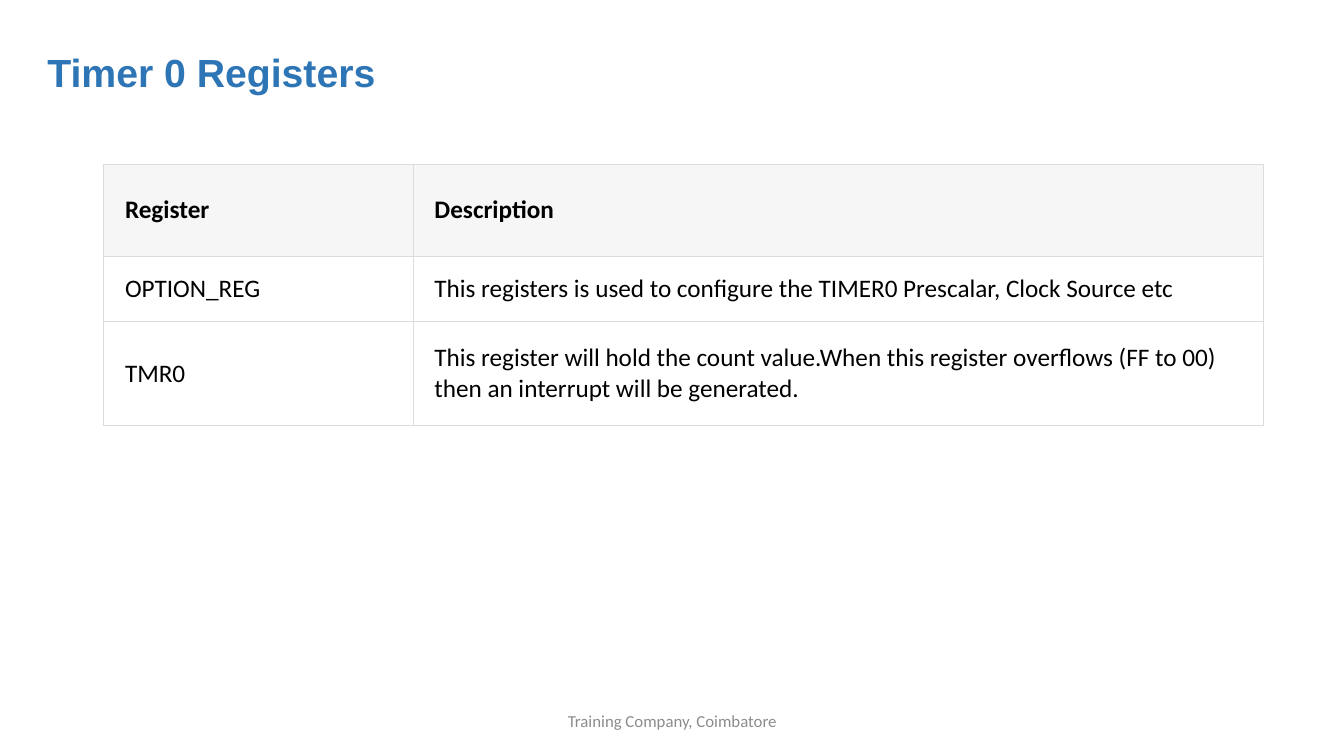
from dataclasses import dataclass

from lxml import etree
from pptx import Presentation, util as u
from pptx.dml.color import RGBColor
from pptx.enum import text
from pptx.oxml import ns

SLIDE_W, SLIDE_H = u.Inches(13.33), u.Inches(7.5)
GRID_COLS, GRID_ROWS = 40, 30


@dataclass(frozen=True)
class Style:
    font: str
    size: float
    color: str
    bold: bool = False


@dataclass(frozen=True)
class Theme:
    title: Style = Style("Arial", 28, "2E75B6", True)
    header: Style = Style("Calibri", 18, "000000", True)
    body: Style = Style("Calibri", 18, "000000")
    footer: Style = Style("Calibri", 12, "8C8C8C")
    header_fill: str = "F6F6F6"
    body_fill: str = "FFFFFF"
    border: str = "DCDCDC"
    border_width: float = 0.75


@dataclass(frozen=True)
class Area:
    """A rectangle in grid columns and rows."""
    left: float
    top: float
    width: float
    height: float

    def box(self) -> tuple[int, int, int, int]:
        return col(self.left), row(self.top), col(self.width), row(self.height)


@dataclass(frozen=True)
class Register:
    name: str
    description: str
    height: float


THEME = Theme()
TITLE_AREA = Area(1.11, 1.84, 21.78, 2.16)
FOOTER_AREA = Area(13.26, 27.8, 13.5, 1.6)
TABLE_LEFT, TABLE_TOP = 3.09, 6.52
TABLE_COLS = (9.21, 25.29)
CELL_PAD_X, HEADER_PAD_Y, BODY_PAD_Y = 0.63, 0.84, 0.4
HEADER = Register("Register", "Description", 3.64)
REGISTERS = [
    Register("OPTION_REG", "This registers is used to configure the TIMER0 "
             "Prescalar, Clock Source etc", 2.6),
    Register("TMR0", "This register will hold the count value.When this register "
             "overflows (FF to 00) then an interrupt will be generated.", 4.12),
]


def col(n: float) -> int:
    return round(SLIDE_W * n / GRID_COLS)


def row(n: float) -> int:
    return round(SLIDE_H * n / GRID_ROWS)


def write(tf, content: str, style: Style, align=text.PP_ALIGN.LEFT) -> None:
    tf.text = content
    tf.word_wrap = True
    p = tf.paragraphs[0]
    p.alignment = align
    font = p.runs[0].font
    font.name, font.size, font.bold = style.font, u.Pt(style.size), style.bold
    font.color.rgb = RGBColor.from_string(style.color)


def add_borders(cell) -> None:
    tc_pr = cell._tc.get_or_add_tcPr()
    for side in ("lnL", "lnR", "lnT", "lnB"):
        ln = etree.SubElement(tc_pr, ns.qn(f"a:{side}"), w=str(u.Pt(THEME.border_width)))
        fill = etree.SubElement(ln, ns.qn("a:solidFill"))
        etree.SubElement(fill, ns.qn("a:srgbClr"), val=THEME.border)


def fill_cell(cell, content: str, style: Style, fill: str, pad_y: float) -> None:
    write(cell.text_frame, content, style)
    cell.vertical_anchor = text.MSO_ANCHOR.MIDDLE
    cell.margin_left = cell.margin_right = col(CELL_PAD_X)
    cell.margin_top = cell.margin_bottom = row(pad_y)
    add_borders(cell)
    cell.fill.solid()
    cell.fill.fore_color.rgb = RGBColor.from_string(fill)


def add_title(s) -> None:
    sp = s.shapes.title
    sp.left, sp.top, sp.width, sp.height = TITLE_AREA.box()
    tf = sp.text_frame
    write(tf, "Timer 0 Registers", THEME.title)
    tf.auto_size = text.MSO_AUTO_SIZE.NONE
    tf.vertical_anchor = text.MSO_ANCHOR.BOTTOM
    tf.paragraphs[0].line_spacing = 0.9


def add_register_table(s) -> None:
    lines = [HEADER, *REGISTERS]
    area = Area(TABLE_LEFT, TABLE_TOP, sum(TABLE_COLS), sum(r.height for r in lines))
    table = s.shapes.add_table(len(lines), len(TABLE_COLS), *area.box()).table
    table.first_row = table.horz_banding = False
    for column, width in zip(table.columns, TABLE_COLS):
        column.width = col(width)
    for i, line in enumerate(lines):
        table.rows[i].height = row(line.height)
        look = ((THEME.header, THEME.header_fill, HEADER_PAD_Y) if line is HEADER
                else (THEME.body, THEME.body_fill, BODY_PAD_Y))
        for j, content in enumerate((line.name, line.description)):
            fill_cell(table.cell(i, j), content, *look)


def add_footer(s) -> None:
    tf = s.shapes.add_textbox(*FOOTER_AREA.box()).text_frame
    write(tf, "Training Company, Coimbatore", THEME.footer, text.PP_ALIGN.CENTER)
    tf.vertical_anchor = text.MSO_ANCHOR.MIDDLE


def main() -> None:
    prs = Presentation()
    prs.slide_width, prs.slide_height = SLIDE_W, SLIDE_H
    s = prs.slides.add_slide(prs.slide_layouts.get_by_name("Title Only"))
    add_footer(s)
    add_title(s)
    add_register_table(s)
    prs.save("out.pptx")


if __name__ == "__main__":
    main()
